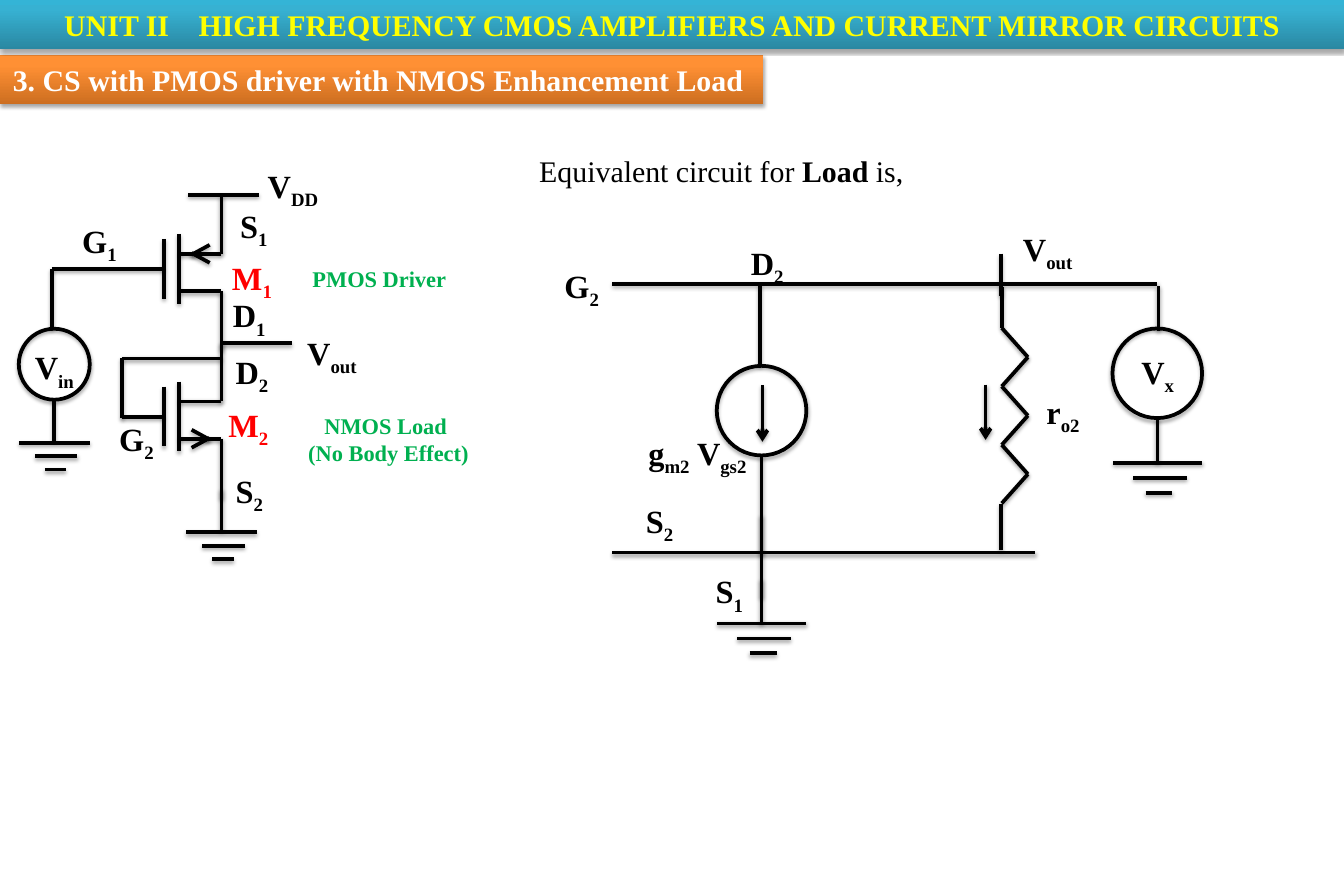
import itertools
from typing import NamedTuple

import lxml.etree
import pptx
import pptx.dml.color
import pptx.enum.shapes
import pptx.enum.text
import pptx.oxml.ns
import pptx.util

Pt = pptx.util.Pt
FONT = "Times New Roman"
COLORS = {
    "ink": "000000", "white": "FFFFFF", "yellow": "FFFF00", "red": "FF0000", "green": "00B050",
    "orange dark": "CC6E20", "orange": "FF9034", "orange light": "FF9136",
    "teal dark": "2A88A2", "teal": "37B1D2", "teal light": "34B4D6",
}


class Label(NamedTuple):
    text: str
    left: float
    top: float
    width: float
    color: str = "ink"
    size: float = 26
    height: float = 39


class Wire(NamedTuple):
    x1: float
    y1: float
    x2: float
    y2: float
    arrow: bool = False


class Circle(NamedTuple):
    left: float
    top: float
    diameter: float


class Ground(NamedTuple):
    center: float
    top: float
    scale: float
    gap: float


class Transistor(NamedTuple):
    gate_y: float
    arrow_offset: float
    tail_x: float
    tip_x: float


class Banner(NamedTuple):
    text: str
    top: float
    width: float
    hue: str
    color: str
    centered: bool


BANNERS = [
    Banner("3. CS with PMOS driver with NMOS Enhancement Load", 44.6, 613.4, "orange", "white", False),
    Banner("UNIT II\t HIGH FREQUENCY CMOS AMPLIFIERS AND CURRENT MIRROR CIRCUITS", 0, 1080, "teal", "yellow", True),
]
TRANSISTORS = [Transistor(216, -12, 168.5, 154), Transistor(334.6, 18, 154, 168.5)]
GROUNDS = [
    Ground(930.2, 372, 1, 12), Ground(612, 501, 1, 12),
    Ground(178.2, 427.7, 0.79, 10.8), Ground(43.6, 355.7, 0.79, 10.8),
]
CIRCLES = [Circle(576, 294, 72), Circle(894, 264, 72), Circle(15.1, 264.2, 57)]
LOAD_WIRES = [
    Wire(492, 228, 930, 228), Wire(492, 444, 832, 444),
    Wire(612.7, 309.6, 612.7, 355, True), Wire(792, 309, 792, 353.5, True),
    Wire(610.6, 228, 610.6, 294), Wire(612, 366, 612, 445),
    Wire(612, 414, 612, 480), Wire(612, 465, 612, 501),
    Wire(804.2, 405, 804.2, 442), Wire(805, 230.4, 805, 263.5), Wire(804.2, 203.8, 804.2, 237.6),
    Wire(930.2, 336, 930.2, 372), Wire(931, 229.7, 931, 265.7),
]
AMPLIFIER_WIRES = [
    Wire(151.4, 156.6, 208, 156.6), Wire(178, 275.8, 234.7, 275.8),
    Wire(41.8, 216, 131.8, 216), Wire(41.8, 216, 41.8, 264),
    Wire(98, 334.8, 131.8, 334.8), Wire(98, 336, 98, 288), Wire(98, 288, 178, 288),
    Wire(178, 393, 178, 426), Wire(43.6, 320.4, 43.6, 354),
]
LABELS = [
    Label("G~2", 446.4, 210.2, 44), Label("D~2", 596.2, 192.2, 42.5), Label("S~2", 512, 398.9, 38),
    Label("g~m2~ V~gs2", 514, 344.9, 100), Label("r~o2", 833.8, 311.8, 43), Label("S~1", 568, 455.8, 38),
    Label("V~x", 910, 279.4, 42.5), Label("V~out", 815, 180.7, 55.4),
    Label("V~out", 239.8, 264.2, 55.4), Label("S~1", 185.8, 162, 38), Label("D~1", 180, 234, 42.5),
    Label("D~2", 182.2, 279.4, 42.5), Label("S~2", 182.2, 375, 38), Label("G~1", 59, 174.2, 44),
    Label("G~2", 88.6, 333.4, 44), Label("V~DD", 208, 129.6, 59), Label("V~in", 20.9, 275.8, 46.8),
    Label("M~2", 176.4, 321.8, 48, "red"), Label("M~1", 179.3, 203.8, 48, "red"),
    Label("NMOS Load \n(No Body Effect)", 239.8, 327.6, 144.7, "green", 18, 51),
    Label("PMOS Driver", 244, 209.5, 123, "green", 18, 29),
]
INTRODUCTION = Label("Equivalent circuit for ~Load~ is,", 426.2, 118.8, 315.4, "ink", 24, 36)


def rgb(name: str) -> pptx.dml.color.RGBColor:
    return pptx.dml.color.RGBColor.from_string(COLORS[name])


def add_child(parent, tag: str, **attributes: str):
    return lxml.etree.SubElement(parent, pptx.oxml.ns.qn(tag), attributes)


def add_shadow(shape) -> None:
    effects = add_child(shape._element.spPr, "a:effectLst")
    shadow = add_child(effects, "a:outerShdw", blurRad=str(Pt(3.1)), dist=str(Pt(1.8)),
                       dir="5400000", rotWithShape="0")
    color = add_child(shadow, "a:srgbClr", val=COLORS["ink"])
    add_child(color, "a:alpha", val="35000")


def set_frame(frame, wrap: bool, side: float, edge: float) -> None:
    frame.word_wrap = wrap
    frame.auto_size = pptx.enum.text.MSO_AUTO_SIZE.SHAPE_TO_FIT_TEXT
    frame.margin_left = frame.margin_right = Pt(side)
    frame.margin_top = frame.margin_bottom = Pt(edge)


def style_run(run, size: float, color: str, bold: bool) -> None:
    run.font.name = FONT
    run.font.size = Pt(size)
    run.font.bold = bold
    run.font.color.rgb = rgb(color)


def draw_banner(slide, banner: Banner) -> None:
    shape = slide.shapes.add_shape(pptx.enum.shapes.MSO_SHAPE.RECTANGLE,
                                   Pt(0), Pt(banner.top), Pt(banner.width), Pt(39.4))
    shape.fill.gradient()
    shape.fill.gradient_angle = 90
    stops = shape._element.spPr.find(".//" + pptx.oxml.ns.qn("a:gsLst"))
    stops.clear()
    for position, suffix in ((0, " dark"), (80, ""), (100, " light")):
        stop = add_child(stops, "a:gs", pos=str(position * 1000))
        add_child(stop, "a:srgbClr", val=COLORS[banner.hue + suffix])
    shape.line.fill.background()
    add_shadow(shape)
    set_frame(shape.text_frame, banner.centered, 10.3, 5.15)
    shape.text_frame.text = banner.text
    paragraph = shape.text_frame.paragraphs[0]
    alignments = pptx.enum.text.PP_ALIGN
    paragraph.alignment = alignments.CENTER if banner.centered else alignments.LEFT
    if "\t" in banner.text:
        tabs = add_child(paragraph._element.get_or_add_pPr(), "a:tabLst")
        add_child(tabs, "a:tab", pos=str(Pt(102)), algn="l")
    for run in paragraph.runs:
        style_run(run, 24, banner.color, True)


def draw_label(slide, label: Label, subscripts: bool = True) -> None:
    box = slide.shapes.add_textbox(Pt(label.left), Pt(label.top), Pt(label.width), Pt(label.height))
    frame = box.text_frame
    set_frame(frame, False, 7.2, 3.6)
    frame.text = label.text
    for paragraph in frame.paragraphs:
        if len(frame.paragraphs) > 1:
            paragraph.alignment = pptx.enum.text.PP_ALIGN.CENTER
        parts = paragraph.text.split("~")
        paragraph.text = parts[0]
        for part in parts[1:]:
            paragraph.add_run().text = part
        for index, run in enumerate(paragraph.runs):
            alternate = index % 2 == 1
            style_run(run, label.size, label.color, subscripts or alternate)
            if subscripts and alternate:
                run.font._element.set("baseline", "-25000")


def draw_wire(slide, wire: Wire) -> None:
    line = slide.shapes.add_connector(pptx.enum.shapes.MSO_CONNECTOR.STRAIGHT,
                                      Pt(wire.x1), Pt(wire.y1), Pt(wire.x2), Pt(wire.y2))
    line.line.width = Pt(3)
    line.line.color.rgb = rgb("ink")
    if wire.arrow:
        add_child(line.line._get_or_add_ln(), "a:tailEnd", type="arrow")
    add_shadow(line)


def draw_circle(slide, circle: Circle) -> None:
    shape = slide.shapes.add_shape(pptx.enum.shapes.MSO_SHAPE.OVAL, Pt(circle.left), Pt(circle.top),
                                   Pt(circle.diameter), Pt(circle.diameter))
    shape.fill.background()
    shape.line.width = Pt(3)
    shape.line.color.rgb = rgb("ink")
    add_shadow(shape)


def ground_wires(ground: Ground) -> list[Wire]:
    wires = []
    for row, (length, shift) in enumerate(((72, 0), (43.2, 2), (21.6, 1.2))):
        center = ground.center + shift * ground.scale
        half = length * ground.scale / 2
        y = ground.top + row * ground.gap
        wires.append(Wire(center - half, y, center + half, y))
    return wires


def transistor_wires(transistor: Transistor) -> list[Wire]:
    y = transistor.gate_y
    spans = ((132, -24, 132, 24), (144, -28, 144, 28), (144, 18, 178, 18),
             (144, -12, 178, -12), (178, -59, 178, -12), (178, 18, 178, 66))
    wires = [Wire(x1, y + y1, x2, y + y2) for x1, y1, x2, y2 in spans]
    tip = y + transistor.arrow_offset
    for side in (1, -1):
        wires.append(Wire(transistor.tail_x, tip + 7.2 * side, transistor.tip_x, tip - 0.7 * side))
    return wires


def resistor_wires() -> list[Wire]:
    corners = [(805 if step % 2 == 0 else 826, 263.5 + 23.5 * step) for step in range(7)]
    return [Wire(*start, *end) for start, end in itertools.pairwise(corners)]


def main() -> None:
    presentation = pptx.Presentation()
    presentation.slide_width, presentation.slide_height = Pt(1080), Pt(720)
    slide = presentation.slides.add_slide(presentation.slide_layouts[6])
    for banner in BANNERS:
        draw_banner(slide, banner)
    for circle in CIRCLES:
        draw_circle(slide, circle)
    symbols = [*map(transistor_wires, TRANSISTORS), *map(ground_wires, GROUNDS), resistor_wires()]
    for wire in itertools.chain(LOAD_WIRES, AMPLIFIER_WIRES, *symbols):
        draw_wire(slide, wire)
    draw_label(slide, INTRODUCTION, subscripts=False)
    for label in LABELS:
        draw_label(slide, label)
    presentation.save("out.pptx")


if __name__ == "__main__":
    main()
